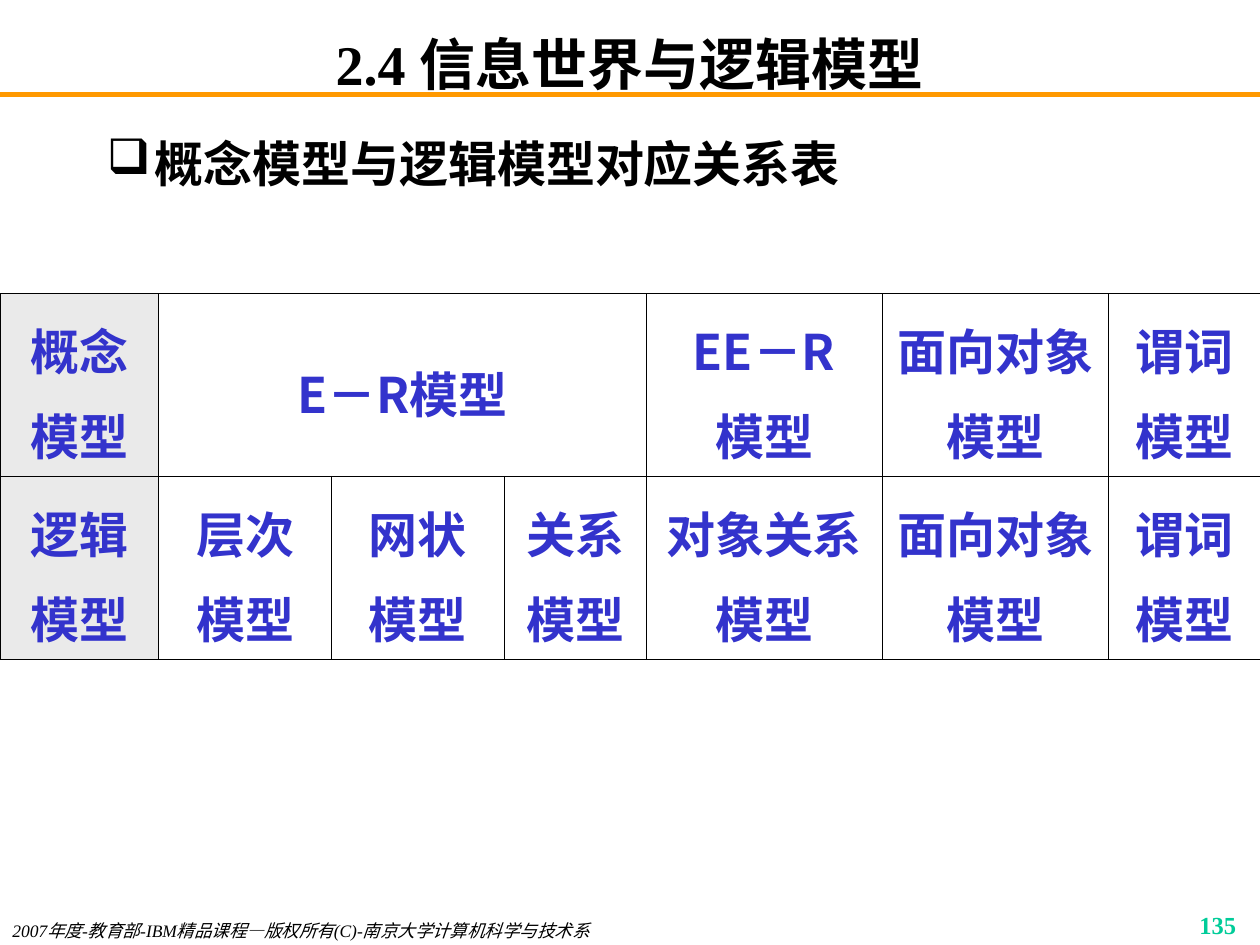
from dataclasses import dataclass, field
from typing import Any

import pptx
import pptx.dml.color
import pptx.enum.shapes
import pptx.enum.text
import pptx.oxml
import pptx.oxml.ns
import pptx.util

Inches = pptx.util.Inches
Pt = pptx.util.Pt
ALIGN = pptx.enum.text.PP_ALIGN
MIDDLE = pptx.enum.text.MSO_ANCHOR.MIDDLE

COLOURS = {
    "text": "000000",
    "rule": "FF9900",
    "page_number": "00CC99",
    "table_text": "3333CC",
    "header_fill": "EAEAEA",
}
SERIF = "Times New Roman"
SANS = "Noto Sans CJK SC"
LINE_SPACING = 1.2
HANGING_INDENT = Inches(0.38)

COLUMN_WIDTHS = (1.26, 1.37, 1.37, 1.13, 1.87, 1.8, 1.2)
ROW_HEIGHT = 1.45
TABLE_ROWS = (
    ("概念\n模型", "E－R模型", "", "", "EE－R\n模型", "面向对象\n模型", "谓词\n模型"),
    ("逻辑\n模型", "层次\n模型", "网状\n模型", "关系\n模型",
     "对象关系\n模型", "面向对象\n模型", "谓词\n模型"),
)


@dataclass(frozen=True)
class TextStyle:
    size: int
    colour: str = "text"
    typeface: str = SERIF
    font: dict[str, Any] = field(default_factory=lambda: {"bold": True})
    paragraph: dict[str, Any] = field(default_factory=dict)


@dataclass(frozen=True)
class TextBox:
    text: str
    left: float
    top: float
    width: float
    height: float
    style: TextStyle
    frame: dict[str, Any] = field(default_factory=dict)
    bullet: str = ""


CELL_STYLE = TextStyle(
    28, "table_text", SANS,
    paragraph={"alignment": ALIGN.CENTER, "line_spacing": LINE_SPACING},
)
TEXT_BOXES = (
    TextBox("2.4 信息世界与逻辑模型", 0.75, 0.25, 8.5, 0.5,
            TextStyle(32, paragraph={"alignment": ALIGN.CENTER}),
            {"vertical_anchor": MIDDLE, "margin_top": 0, "margin_bottom": 0}),
    TextBox("概念模型与逻辑模型对应关系表", 0.75, 0.92, 8.5, 6.08,
            TextStyle(28, paragraph={"line_spacing": LINE_SPACING}), bullet="❑"),
    TextBox("2007年度-教育部-IBM精品课程—版权所有(C)-南京大学计算机科学与技术系",
            0, 7.25, 5.5, 0.25, TextStyle(10, font={"italic": True})),
    TextBox("135", 7.83, 7.17, 2.08, 0.25,
            TextStyle(14, "page_number", paragraph={"alignment": ALIGN.RIGHT})),
)


def rgb(name: str) -> pptx.dml.color.RGBColor:
    return pptx.dml.color.RGBColor.from_string(COLOURS[name])


def set_attributes(target: Any, values: dict[str, Any]) -> None:
    for name, value in values.items():
        setattr(target, name, value)


def append_xml(parent: Any, tag: str, content: str = "", attributes: str = "") -> None:
    namespace = pptx.oxml.ns.nsdecls("a")
    parent.append(pptx.oxml.parse_xml(
        f"<a:{tag} {namespace} {attributes}>{content}</a:{tag}>"))


def solid_fill(colour: str) -> str:
    return f'<a:solidFill><a:srgbClr val="{COLOURS[colour]}"/></a:solidFill>'


def add_bullet(para: Any, bullet: str) -> None:
    properties = para._p.get_or_add_pPr()
    properties.set("marL", str(HANGING_INDENT))
    properties.set("indent", str(-HANGING_INDENT))
    append_xml(properties, "buClr", f'<a:srgbClr val="{COLOURS["text"]}"/>')
    append_xml(properties, "buChar", attributes=f'char="{bullet}"')


def write_text(frame: Any, text: str, style: TextStyle) -> None:
    """Write each line as one styled paragraph, with Chinese characters in sans."""
    for index, line in enumerate(text.split("\n")):
        para = frame.add_paragraph() if index else frame.paragraphs[0]
        set_attributes(para, style.paragraph)
        span = para.add_run()
        span.text = line
        set_attributes(span.font, {"size": Pt(style.size), "name": style.typeface,
                                   **style.font})
        span.font.color.rgb = rgb(style.colour)
        append_xml(span._r.get_or_add_rPr(), "ea", attributes=f'typeface="{SANS}"')


def add_text_box(slide: Any, item: TextBox) -> None:
    box = slide.shapes.add_textbox(
        Inches(item.left), Inches(item.top), Inches(item.width), Inches(item.height))
    set_attributes(box.text_frame, {"word_wrap": True, **item.frame})
    write_text(box.text_frame, item.text, item.style)
    if item.bullet:
        add_bullet(box.text_frame.paragraphs[0], item.bullet)


def add_title_rule(slide: Any) -> None:
    rule = slide.shapes.add_connector(
        pptx.enum.shapes.MSO_CONNECTOR.STRAIGHT,
        Inches(0), Inches(0.75), Inches(10), Inches(0.75))
    rule.line.color.rgb = rgb("rule")
    rule.line.width = Pt(3)
    append_xml(rule._element.spPr, "effectLst")


def format_cell(cell: Any, is_header: bool) -> None:
    properties = cell._tc.get_or_add_tcPr()
    for side in ("lnL", "lnR", "lnT", "lnB"):
        append_xml(properties, side, solid_fill("text"), f'w="{Pt(0.45)}"')
    if is_header:
        cell.fill.solid()
        cell.fill.fore_color.rgb = rgb("header_fill")
    else:
        cell.fill.background()
    cell.vertical_anchor = MIDDLE


def add_model_table(slide: Any) -> None:
    table = slide.shapes.add_table(
        len(TABLE_ROWS), len(COLUMN_WIDTHS), Inches(0), Inches(2.33),
        Inches(sum(COLUMN_WIDTHS)), Inches(ROW_HEIGHT * len(TABLE_ROWS))).table
    set_attributes(table, {"first_row": False, "horz_banding": False})
    for column, width in zip(table.columns, COLUMN_WIDTHS):
        column.width = Inches(width)
    for row_index, texts in enumerate(TABLE_ROWS):
        table.rows[row_index].height = Inches(ROW_HEIGHT)
        for column_index, text in enumerate(texts):
            cell = table.cell(row_index, column_index)
            format_cell(cell, is_header=column_index == 0)
            if text:
                write_text(cell.text_frame, text, CELL_STYLE)
    table.cell(0, 1).merge(table.cell(0, 3))


def main() -> None:
    deck = pptx.Presentation()
    set_attributes(deck, {"slide_width": Inches(10), "slide_height": Inches(7.5)})
    slide = deck.slides.add_slide(deck.slide_layouts[6])
    add_title_rule(slide)
    for item in TEXT_BOXES:
        add_text_box(slide, item)
    add_model_table(slide)
    deck.save("out.pptx")


if __name__ == "__main__":
    main()
